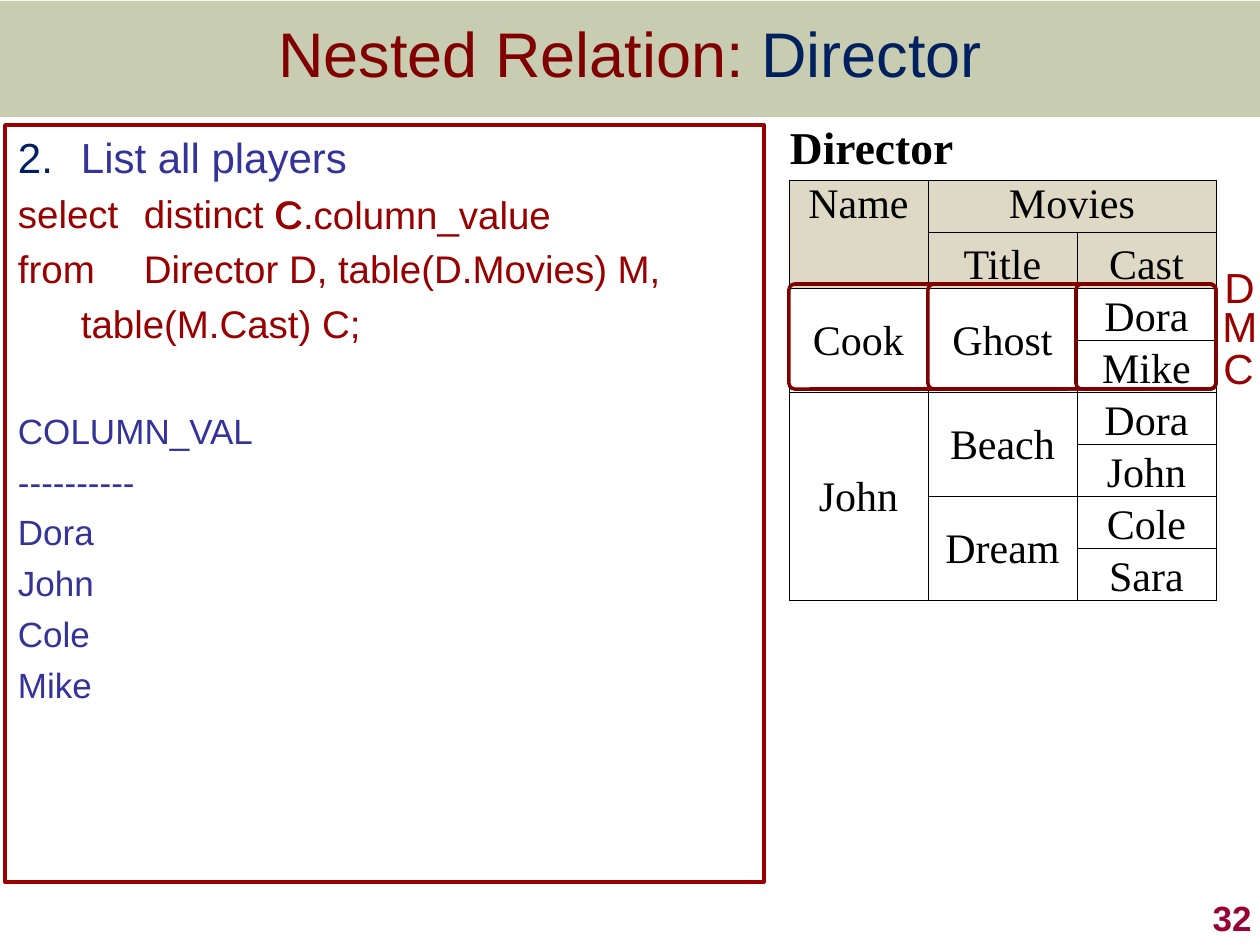
from lxml.etree import SubElement
from pptx import Presentation
from pptx.dml.color import RGBColor
from pptx.enum.shapes import MSO_SHAPE
from pptx.enum.text import MSO_ANCHOR, PP_ALIGN
from pptx.oxml import parse_xml
from pptx.oxml.ns import nsdecls, qn
from pptx.util import Emu, Pt

SCALE = 914400 / 126  # EMU in one px
COLOURS = {
    "olive": "677228", "maroon": "800000", "navy": "002060", "red": "990101",
    "blue": "333399", "crimson": "990033", "black": "000000",
    "white": "FFFFFF", "tan": "DDD9C4",
}


def px(*lengths):
    return [Emu(round(length * SCALE)) for length in lengths]


def style(font, colour, **values):
    """Set the colour, name, size and other values of a font."""
    font.color.rgb = RGBColor.from_string(COLOURS[colour])
    for name, value in {"name": "Arial", "bold": False, **values}.items():
        setattr(font, name, value)


deck = Presentation()
deck.slide_width, deck.slide_height = px(1260, 945)
page = deck.slides.add_slide(deck.slide_layouts[5])

# Title on its band
band = page.shapes.add_shape(MSO_SHAPE.RECTANGLE, *px(0, 1, 1260, 116))
band.shadow.inherit = False
band.line.fill.background()
band.fill.solid()
band.fill.fore_color.rgb = RGBColor.from_string(COLOURS["olive"])
tint = band.fill._xPr.find(".//" + qn("a:srgbClr"))
SubElement(tint, qn("a:alpha"), val="36000")

title = page.shapes.title
band.element.addnext(title.element)
title.left, title.top, title.width, title.height = px(0, 0, 1260, 104)
title.text_frame.vertical_anchor = MSO_ANCHOR.MIDDLE
para = title.text_frame.paragraphs[0]
para.alignment = PP_ALIGN.CENTER
for text, colour in (("Nested Relation: ", "maroon"), ("Director", "navy")):
    span = para.add_run()
    span.text = text
    style(span.font, colour, size=Pt(36))

# Nested table: row, column, rows spanned, columns spanned, text
CELLS = [
    (0, 0, 1, 3, "Director"),
    (1, 0, 2, 1, "Name　"), (1, 1, 1, 2, "Movies"),
    (2, 1, 1, 1, "Title"), (2, 2, 1, 1, "Cast"),
    (3, 0, 2, 1, "Cook"), (3, 1, 2, 1, "Ghost"),
    (3, 2, 1, 1, "Dora"), (4, 2, 1, 1, "Mike"),
    (5, 0, 4, 1, "John"), (5, 1, 2, 1, "Beach"),
    (5, 2, 1, 1, "Dora"), (6, 2, 1, 1, "John"),
    (7, 1, 2, 1, "Dream"), (7, 2, 1, 1, "Cole"), (8, 2, 1, 1, "Sara"),
]
widths = [139, 149, 139]
heights = [57] + [52] * 8
table = page.shapes.add_table(
    len(heights), len(widths), *px(789, 123, sum(widths), sum(heights))).table
table.first_row = table.horz_banding = False
for column, width in zip(table.columns, px(*widths)):
    column.width = width
for row, height in zip(table.rows, px(*heights)):
    row.height = height

for r in range(len(heights)):
    for c in range(len(widths)):
        cell = table.cell(r, c)
        cell.margin_left, cell.margin_right, cell.margin_top, cell.margin_bottom = px(1, 1, 1, 0)
        for side in ("lnB",) if r == 0 else ("lnL", "lnR", "lnT", "lnB"):
            cell._tc.get_or_add_tcPr().append(parse_xml(
                f'<a:{side} {nsdecls("a")} w="6350"><a:solidFill>'
                f'<a:srgbClr val="{COLOURS["black"]}"/></a:solidFill></a:{side}>'))
        cell.fill.solid()
        cell.fill.fore_color.rgb = RGBColor.from_string(
            COLOURS["tan" if r in (1, 2) else "white"])

for r, c, down, across, text in CELLS:
    cell = table.cell(r, c)
    if down * across > 1:
        cell.merge(table.cell(r + down - 1, c + across - 1))
    cell.text = text
    if down > 1:
        cell.vertical_anchor = MSO_ANCHOR.MIDDLE
    elif across == 1:
        cell.vertical_anchor = MSO_ANCHOR.BOTTOM
    para = cell.text_frame.paragraphs[0]
    para.alignment = PP_ALIGN.LEFT if r == 0 else PP_ALIGN.CENTER
    style(para.runs[0].font, "black", name="Times New Roman",
          size=Pt(26 if r == 0 else 24), bold=r == 0)

# Nested tuple outlines, all ending at the table's right edge
for left in (789, 928, 1076):
    outline = page.shapes.add_shape(
        MSO_SHAPE.ROUNDED_RECTANGLE, *px(left, 284, 1216 - left, 105))
    outline.adjustments[0] = 0.055
    outline.shadow.inherit = False
    outline.fill.background()
    outline.line.color.rgb = RGBColor.from_string(COLOURS["maroon"])
    outline.line.width = Pt(2)

# Query and its result: text, size, colour, space before
LINES = [
    ("List all players", 24, "blue", 0),
    ("select \tdistinct C", 22, "red", 5),
    ("from\tDirector D, table(D.Movies) M,", 22, "red", 5),
    ("\ttable(M.Cast) C;", 22, "red", 5),
    ("COLUMN_VAL", 20, "blue", 36),
    ("----------", 20, "blue", 5),
    ("Dora", 20, "blue", 5),
    ("John", 20, "blue", 5),
    ("Cole", 20, "blue", 5),
    ("Mike", 20, "blue", 5),
]
query = page.shapes.add_shape(MSO_SHAPE.RECTANGLE, *px(5, 125, 759, 757))
query.shadow.inherit = False
query.fill.background()
query.line.color.rgb = RGBColor.from_string(COLOURS["red"])
query.line.width = Pt(2)
frame = query.text_frame
frame.word_wrap = True
frame.vertical_anchor = MSO_ANCHOR.TOP
frame.margin_left, frame.margin_right = px(13, 0)
for number, (text, size, colour, space) in enumerate(LINES):
    para = frame.add_paragraph() if number else frame.paragraphs[0]
    para.alignment = PP_ALIGN.LEFT
    para.space_before = Pt(space)
    if number == 0:
        props = para._p.get_or_add_pPr()
        indent = px(63)[0]
        props.set("marL", str(indent))
        props.set("indent", str(-indent))
        bullet_colour = SubElement(props, qn("a:buClr"))
        SubElement(bullet_colour, qn("a:srgbClr"), val=COLOURS["navy"])
        SubElement(props, qn("a:buFont"), typeface="Arial")
        SubElement(props, qn("a:buAutoNum"), type="arabicPeriod", startAt="2")
    span = para.add_run()
    span.text = text
    style(span.font, colour, size=Pt(size))

# Tuple variables, the overlaid column and the page number
LABELS = [
    ("D", (1212, 255, 57, 63), 24, "red"),
    ("M", (1210, 294, 60, 63), 24, "red"),
    ("C", (1211, 336, 57, 63), 24, "red"),
    ("C.column_value", (263, 185, 305, 59), 22, "red"),
    ("32", (1002, 882, 262, 63), 20, "crimson"),
]
for text, place, size, colour in LABELS:
    box = page.shapes.add_textbox(*px(*place))
    box.text_frame.word_wrap = False
    para = box.text_frame.paragraphs[0]
    span = para.add_run()
    span.text = text
    style(span.font, colour, size=Pt(size))
box.text_frame.word_wrap = True
box.text_frame.vertical_anchor = MSO_ANCHOR.BOTTOM
para.alignment = PP_ALIGN.RIGHT
span.font.bold = True

deck.save("out.pptx")
